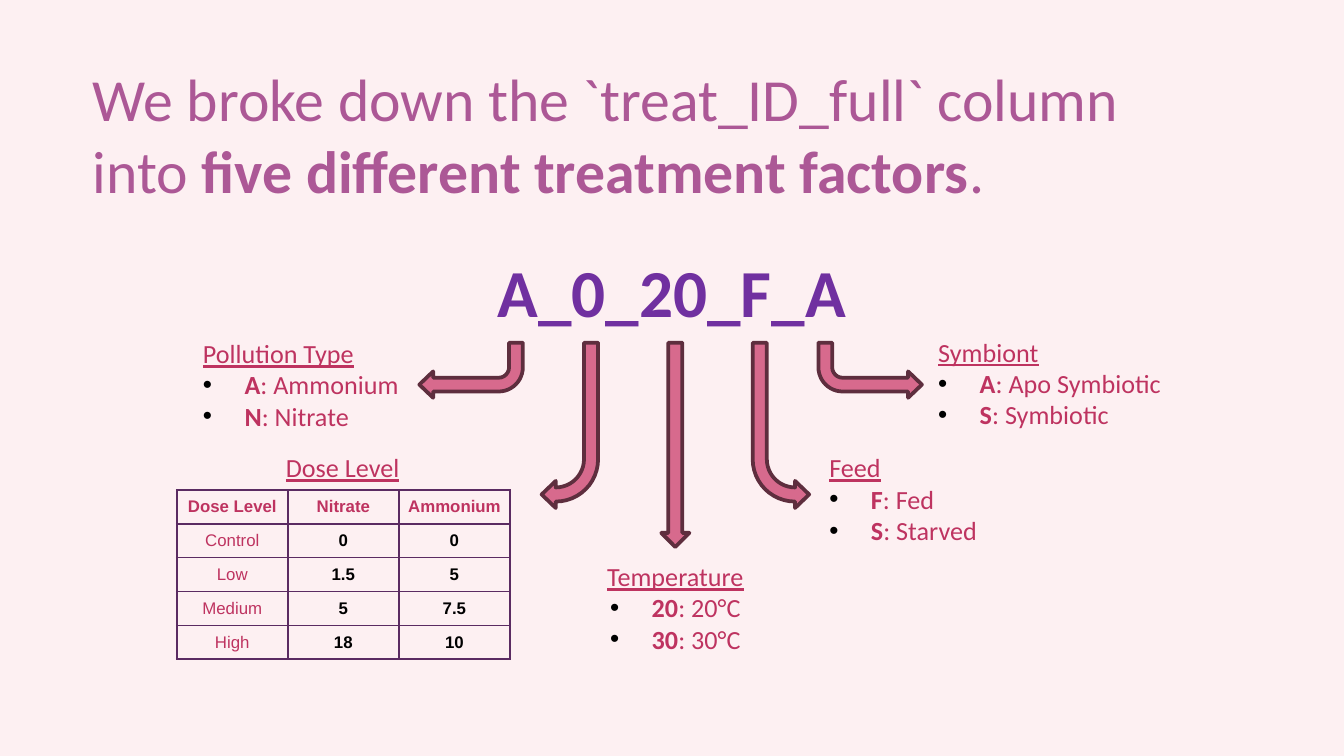
from lxml import etree
from pptx import Presentation
from pptx.dml.color import RGBColor
from pptx.enum.shapes import MSO_SHAPE
from pptx.enum.text import MSO_ANCHOR, MSO_AUTO_SIZE, PP_ALIGN
from pptx.oxml.ns import qn
from pptx.util import Inches, Pt

BLUSH = RGBColor(0xFD, 0xF0, 0xF2)
MAUVE = RGBColor(0xAC, 0x58, 0x96)
PURPLE = RGBColor(0x70, 0x30, 0xA0)
RASPBERRY = RGBColor(0xBE, 0x33, 0x60)
ROSE = RGBColor(0xD7, 0x6A, 0x8D)
MAROON = RGBColor(0x5E, 0x2E, 0x3E)
PLUM = RGBColor(0x5B, 0x2B, 0x62)
BLACK = RGBColor(0, 0, 0)

LEFT, CENTER = PP_ALIGN.LEFT, PP_ALIGN.CENTER
TOP, MIDDLE = MSO_ANCHOR.TOP, MSO_ANCHOR.MIDDLE
NO_AUTOFIT = MSO_AUTO_SIZE.NONE
BENT_ARROW, DOWN_ARROW = MSO_SHAPE.BENT_ARROW, MSO_SHAPE.DOWN_ARROW

SLIDE_WIDTH = Inches(10)
SLIDE_HEIGHT = SLIDE_WIDTH * 9 // 16
COLUMN = SLIDE_WIDTH / 100
ROW = SLIDE_HEIGHT / 56.25
COMPARISON_LAYOUT = 4

FACTORS = [
    ("Pollution Type", [("A", "Ammonium"), ("N", "Nitrate")], (14.1, 24.6, 16.7, 8.1), LEFT),
    ("Temperature", [("20", "20°C"), ("30", "30°C")], (41.9, 41.2, 16.7, 8.1), CENTER),
    ("Feed", [("F", "Fed"), ("S", "Starved")], (60.7, 33.1, 16.7, 8.1), LEFT),
    ("Symbiont", [("A", "Apo Symbiotic"), ("S", "Symbiotic")], (68.8, 24.5, 21.9, 8.1), LEFT),
]
DOSES = [
    ("Dose Level", "Nitrate", "Ammonium"),
    ("Control", "0", "0"),
    ("Low", "1.5", "5"),
    ("Medium", "5", "7.5"),
    ("High", "18", "10"),
]
SHORT_BEND = (0.25, 0.24, 0.25, 0.44)
LONG_BEND = (0.25, 0.24, 0.25, 0.75)


def grid(left, top, width, height):
    return round(left * COLUMN), round(top * ROW), round(width * COLUMN), round(height * ROW)


def write(paragraph, text, size=14, color=RASPBERRY, font="Calibri",
          bold=False, underline=False, align=LEFT):
    paragraph.alignment = align
    run = paragraph.add_run()
    run.text = text
    run.font.size = Pt(size)
    run.font.name = font
    run.font.bold = bold
    run.font.underline = underline
    run.font.color.rgb = color


def place(holder, box):
    holder.left, holder.top, holder.width, holder.height = grid(*box)
    frame = holder.text_frame
    frame.word_wrap = True
    frame.auto_size = NO_AUTOFIT
    frame.vertical_anchor = TOP
    return frame


def set_bullet(paragraph, shown):
    properties = paragraph._p.get_or_add_pPr()
    indent = Inches(0.31) if shown else 0
    properties.set("marL", str(indent))
    properties.set("indent", str(-indent))
    if shown:
        color = etree.SubElement(properties, qn("a:buClr"))
        etree.SubElement(color, qn("a:srgbClr"), val=str(BLACK))
        etree.SubElement(properties, qn("a:buFont"), typeface="Arial")
        etree.SubElement(properties, qn("a:buChar"), char="•")
    else:
        etree.SubElement(properties, qn("a:buNone"))
    paragraph.space_before = Pt(0)


def fill_title(title):
    frame = place(title, (5.9, 3.6, 90.1, 12.1))
    frame.margin_top = frame.margin_bottom = Inches(0.1)
    style = {"size": 32, "color": MAUVE}
    write(frame.paragraphs[0], "We broke down the `treat_ID_full` column", **style)
    second_line = frame.add_paragraph()
    write(second_line, "into ", **style)
    write(second_line, "five different treatment factors", bold=True, **style)
    write(second_line, ".", **style)


def fill_factor(body, heading, levels, box, align):
    frame = place(body, box)
    set_bullet(frame.paragraphs[0], False)
    write(frame.paragraphs[0], heading, underline=True, align=align)
    for code, meaning in levels:
        level = frame.add_paragraph()
        set_bullet(level, True)
        write(level, code, bold=True, align=align)
        write(level, f": {meaning}", align=align)


def add_label(slide, text, box, **style):
    frame = place(slide.shapes.add_textbox(*grid(*box)), box)
    write(frame.paragraphs[0], text, align=CENTER, **style)


def add_arrow(slide, preset, box, adjustments=(), rotation=0, mirrored=False):
    arrow = slide.shapes.add_shape(preset, *grid(*box))
    for index, value in enumerate(adjustments):
        arrow.adjustments[index] = value
    arrow.rotation = rotation
    if mirrored:
        arrow._element.spPr.find(qn("a:xfrm")).set("flipH", "1")
    arrow.shadow.inherit = False
    arrow.fill.solid()
    arrow.fill.fore_color.rgb = ROSE
    arrow.line.color.rgb = MAROON
    arrow.line.width = Pt(2)


def outline_cell(cell):
    properties = cell._tc.get_or_add_tcPr()
    for side in ("lnL", "lnR", "lnT", "lnB"):
        border = etree.SubElement(properties, qn(f"a:{side}"), w=str(Pt(1)))
        paint = etree.SubElement(border, qn("a:solidFill"))
        etree.SubElement(paint, qn("a:srgbClr"), val=str(PLUM))


def add_dose_table(slide):
    box = grid(13.15, 36.45, 24.8, 12.6)
    table = slide.shapes.add_table(len(DOSES), len(DOSES[0]), *box).table
    table.first_row = table.horz_banding = False
    for row, values in enumerate(DOSES):
        for column, value in enumerate(values):
            cell = table.cell(row, column)
            outline_cell(cell)
            cell.fill.background()
            cell.vertical_anchor = MIDDLE
            cell.margin_left = cell.margin_right = Inches(0.05)
            cell.margin_top = cell.margin_bottom = Inches(0.05)
            is_dose = row > 0 and column > 0
            write(cell.text_frame.paragraphs[0], value, size=9, font="Arial",
                  color=BLACK if is_dose else RASPBERRY,
                  bold=row == 0 or is_dose, align=CENTER)


def main():
    deck = Presentation()
    deck.slide_width, deck.slide_height = SLIDE_WIDTH, SLIDE_HEIGHT
    slide = deck.slides.add_slide(deck.slide_layouts[COMPARISON_LAYOUT])
    slide.background.fill.solid()
    slide.background.fill.fore_color.rgb = BLUSH

    title, *bodies = slide.placeholders
    fill_title(title)
    for body, factor in zip(bodies, FACTORS):
        fill_factor(body, *factor)

    add_label(slide, "A_0_20_F_A", (30.45, 18.1, 39.1, 7.1), size=36, color=PURPLE, bold=True)
    add_label(slide, "Dose Level", (17.15, 33.1, 16.7, 3.4), underline=True)
    add_dose_table(slide)

    add_arrow(slide, BENT_ARROW, (31.2, 25.5, 7.7, 4.1), SHORT_BEND, 180)
    add_arrow(slide, BENT_ARROW, (40.3, 25.5, 4.2, 12.3), LONG_BEND, 180)
    add_arrow(slide, DOWN_ARROW, (49.2, 25.5, 2.1, 15.2))
    add_arrow(slide, BENT_ARROW, (56, 25.5, 4.2, 12.3), LONG_BEND, 180, mirrored=True)
    add_arrow(slide, BENT_ARROW, (60.9, 25.5, 7.7, 4.1), SHORT_BEND, 180, mirrored=True)
    deck.save("out.pptx")


if __name__ == "__main__":
    main()
